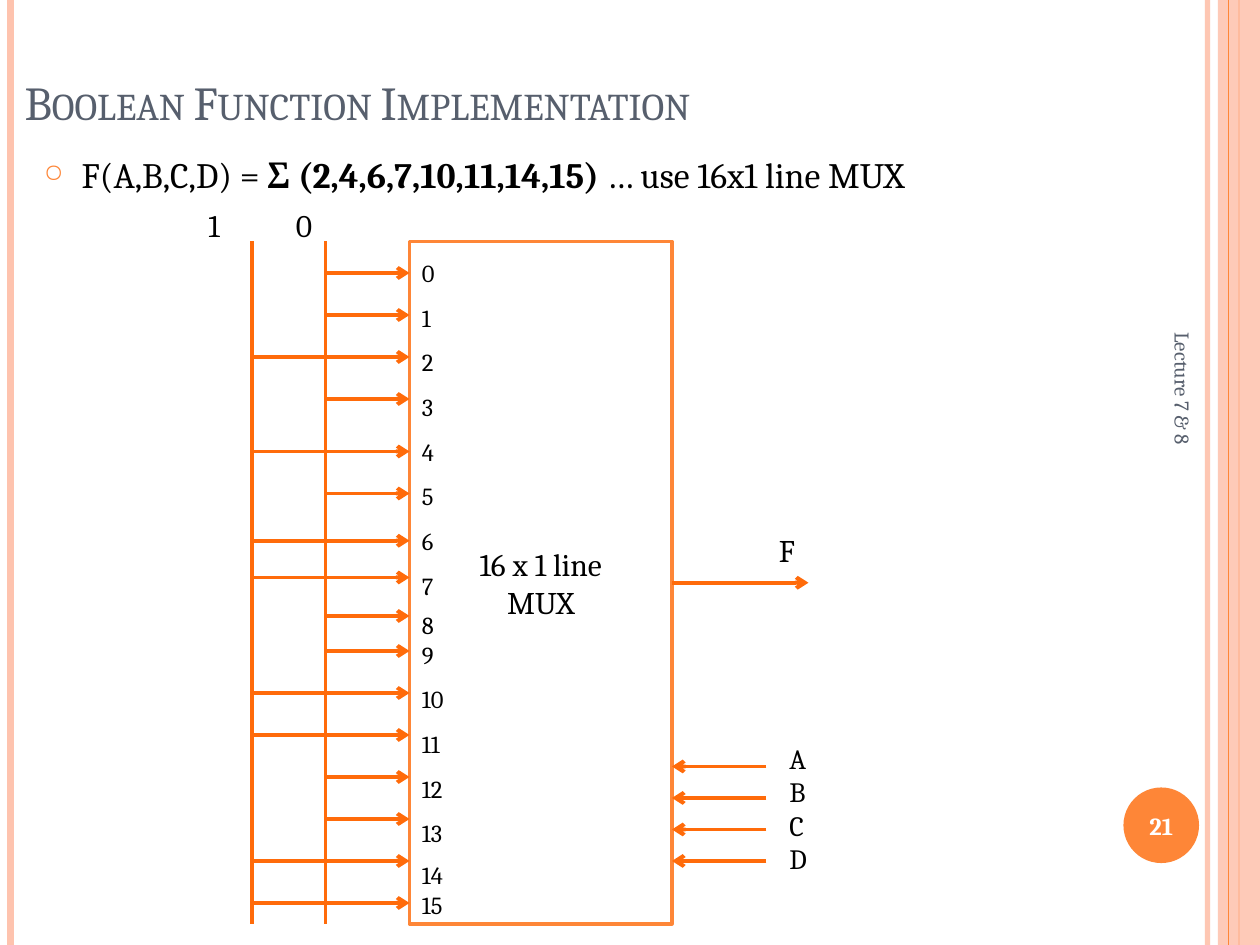
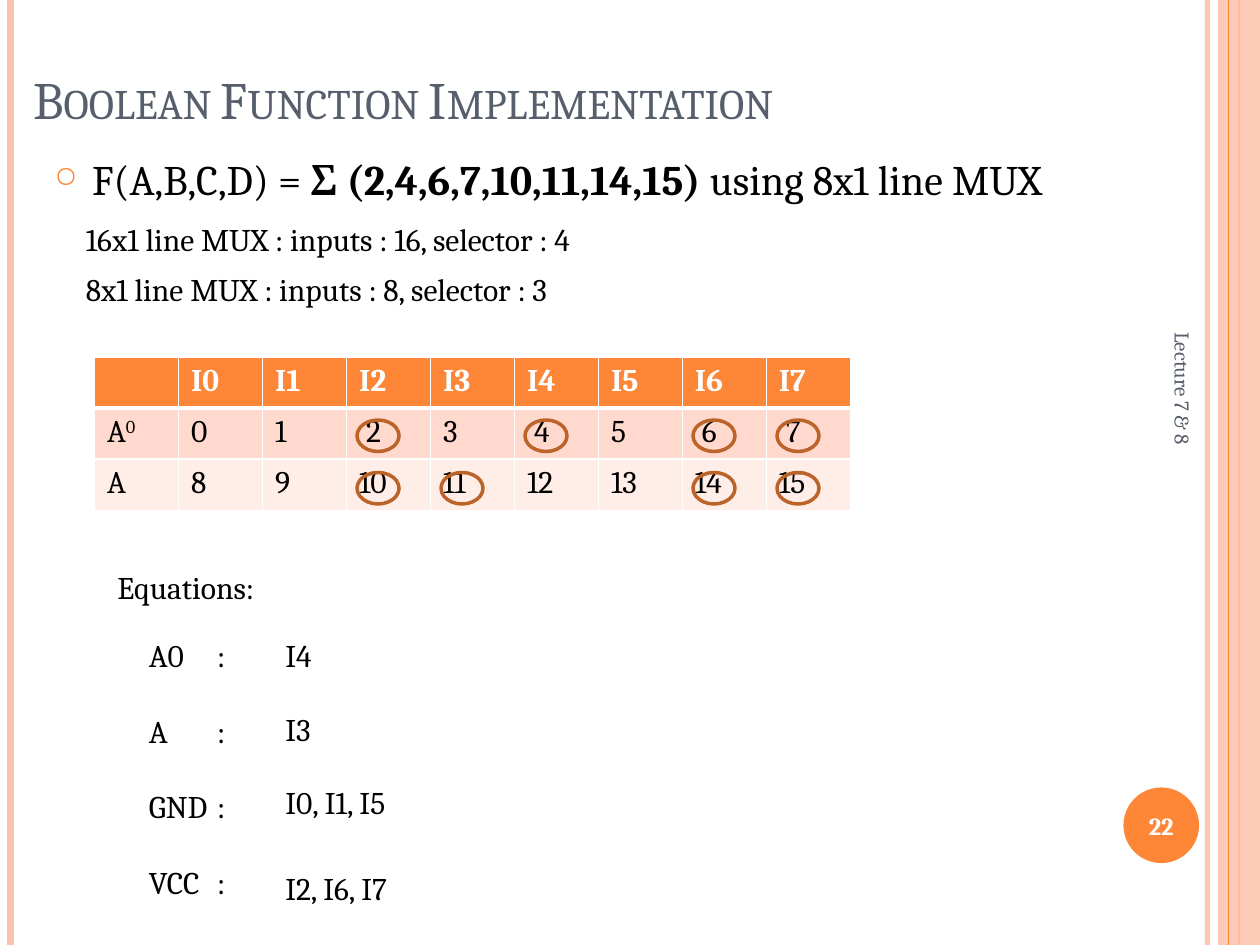
from lxml import etree
from pptx import Presentation
from pptx import util as u
from pptx.dml.color import RGBColor
from pptx.enum import shapes, text
from pptx.oxml.ns import qn

Pt = u.Pt
ORANGE = RGBColor(0xFE, 0x86, 0x37)
PEACH = RGBColor(0xFE, 0xC3, 0xAE)
WIRE = RGBColor(0xFF, 0x6B, 0x0A)
RING = RGBColor(0xBC, 0x63, 0x29)
SLATE = RGBColor(0x57, 0x5F, 0x6D)
BLACK = RGBColor(0, 0, 0)
WHITE = RGBColor(0xFF, 0xFF, 0xFF)
ROWS = [ORANGE, RGBColor(0xFF, 0xD9, 0xCE), RGBColor(0xFF, 0xED, 0xE8)]

FONT = "Cambria"
TERMS = (2, 4, 6, 7, 10, 11, 14, 15)
SUM = f"Σ ({','.join(map(str, TERMS))})"
LEFT, CENTER = text.PP_ALIGN.LEFT, text.PP_ALIGN.CENTER
TOP, MIDDLE, BOTTOM = (text.MSO_ANCHOR.TOP, text.MSO_ANCHOR.MIDDLE,
                       text.MSO_ANCHOR.BOTTOM)


def node(parent, tag, **attrs):
    """Append an XML element with the given attributes."""
    item = etree.SubElement(parent, qn(tag))
    for key, value in attrs.items():
        item.set(key, str(value))
    return item


def write(frame, lines, size=18, color=BLACK, bold=False, align=LEFT,
          anchor=TOP, gaps=(), **marks):
    """Fill a text frame; a line is a string or a list of (text, marks)."""
    frame.word_wrap = True
    frame.vertical_anchor = anchor
    for i, line in enumerate(lines):
        para = frame.paragraphs[0] if i == 0 else frame.add_paragraph()
        para.alignment = align
        if i < len(gaps):
            para.space_before = Pt(gaps[i])
        for words, extra in [(line, {})] if isinstance(line, str) else line:
            run = para.add_run()
            run.text = words
            look = {"bold": bold, **marks, **extra}
            run.font.name, run.font.size = FONT, Pt(size)
            run.font.bold = look.pop("bold")
            run.font.color.rgb = color
            for key, value in look.items():
                run.font._element.set(key, value)


def label(slide, box, *lines, **format):
    """Add a text box and return it."""
    item = slide.shapes.add_textbox(*map(Pt, box))
    write(item.text_frame, lines, **format)
    return item


def shape(slide, kind, box, fill=None, line=None, width=2):
    """Add a flat preset shape."""
    item = slide.shapes.add_shape(kind, *map(Pt, box))
    item.shadow.inherit = False
    if fill is None:
        item.fill.background()
    else:
        item.fill.solid()
        item.fill.fore_color.rgb = fill
    if line is None:
        item.line.fill.background()
    else:
        item.line.color.rgb, item.line.width = line, Pt(width)
    return item


def fade(item, percent):
    """Make the first colour of a shape partly clear."""
    tint = next(item.element.spPr.iter(qn("a:srgbClr")))
    node(tint, "a:alpha", val=percent * 1000)


def wire(slide, start, end, color=WIRE, width=2.25, arrow=False):
    """Draw a straight line, with an arrowhead at its end if asked."""
    item = slide.shapes.add_connector(
        shapes.MSO_CONNECTOR.STRAIGHT, *map(Pt, (*start, *end)))
    item.line.color.rgb, item.line.width = color, Pt(width)
    props = item.element.spPr
    if arrow:
        node(props.find(qn("a:ln")), "a:tailEnd", type="arrow")
    node(props, "a:effectLst")
    return item


def frame(slide, number, x, y, w, h):
    """Draw the side bands, the page number and the footer."""
    def rule(left, color, width):
        return wire(slide, (x + left, y), (x + left, y + h), color, width)

    fade(rule(w - 30, PEACH, 3), 93)
    rule(6, PEACH, 4.5)
    rule(w - 12, ORANGE, 1.5)
    band = shape(slide, shapes.MSO_SHAPE.RECTANGLE,
                 (x + w - 24, y, 24, h), PEACH)
    fade(band, 87)
    rule(w - 18, ORANGE, 0.75)
    disc = shape(slide, shapes.MSO_SHAPE.OVAL,
                 (x + w - 78, y + h - 90, 43.2, 43.2), ORANGE)
    write(disc.text_frame, [str(number)], size=14, color=WHITE, bold=True,
          align=CENTER, anchor=MIDDLE)
    foot = label(slide, (x + w - 170, y + 294.5, 252, 28.8),
                 "Lecture 7 & 8", size=12, color=SLATE, anchor=MIDDLE)
    foot.rotation = 90


def head(slide, tail, x, y, w, h, size):
    """Write the title and the bulleted function below it."""
    label(slide, (x, y, 588, 90), "Boolean Function Implementation",
          size=size, color=SLATE, anchor=BOTTOM, cap="small")


def topic(slide, tail, size, x, y, w, h):
    """Write the bulleted function."""
    line = [("F(A,B,C,D) = ", {}), (SUM, {"bold": True}), (tail, {})]
    item = label(slide, (x, y, w, h), line, size=size, gaps=[6])
    props = item.text_frame.paragraphs[0]._p.get_or_add_pPr()
    props.set("marL", str(Pt(21.6)))
    props.set("indent", str(-Pt(21.6)))
    node(node(props, "a:buClr"), "a:srgbClr", val=ORANGE)
    node(props, "a:buSzPct", val=70000)
    node(props, "a:buChar", char="○")


def title(slide, size, x, y, w, h):
    """Write the title in small capitals at the foot of its box."""
    label(slide, (x, y, w, h), "Boolean Function Implementation",
          size=size, color=SLATE, anchor=BOTTOM, cap="small")


def mux(slide, x, y, w, h):
    """Draw the multiplexer block with its rails, inputs and output."""
    block = shape(slide, shapes.MSO_SHAPE.RECTANGLE, (x, y, w, h),
                  WHITE, ORANGE)
    write(block.text_frame, ["16 x 1 line", "MUX"], align=CENTER,
          anchor=MIDDLE)
    one, zero = x - 90, x - 48
    for name, rail, left in (("1", one, x - 122), ("0", zero, x - 72)):
        wire(slide, (rail, y), (rail, y + h))
        label(slide, (left, y - 24, 36, 30), name)
    drops = (18, 42, 66, 90, 120, 144, 171, 192,
             214, 234, 258, 282, 306, 330, 354, 378)
    for pin, drop in enumerate(drops):
        rail = one if pin in TERMS else zero
        wire(slide, (rail, y + drop), (x, y + drop), arrow=True)
    special = {0: 0, 8: 5.8, 9: 0, 14: 7.2, 15: 0}
    label(slide, (x, y + 6, 38, h + 5), *map(str, range(16)), size=14,
          gaps=[special.get(pin, 8.7) for pin in range(16)])

    right, mid = x + w, y + h / 2
    out = wire(slide, (right, mid), (right + 78, mid), arrow=True)
    out.begin_connect(block, 3)
    label(slide, (right + 54, mid - 33, 30, 30), "F")
    for i in range(4):
        level = y + 300 + 18 * i
        wire(slide, (right + 54, level), (right, level), arrow=True)
    label(slide, (right + 60, y + 282, 36, 85), *"ABCD", size=16)


def grid(slide, x, y, w, h):
    """Build the input table and ring the minterms in it."""
    item = slide.shapes.add_table(3, 9, *map(Pt, (x, y, w, h)))
    table = item.table
    step = w / 9
    for col in table.columns:
        col.width = Pt(step)
    for row in table.rows:
        row.height = Pt(h / 3)
    raised = [("A", {}), ("0", {"baseline": "30000"})]
    words = ["", *(f"I{i}" for i in range(8)),
             raised, *map(str, range(8)), "A", *map(str, range(8, 16))]
    tags = item.element.iter(qn("a:tc"))
    for i, (cell, tag) in enumerate(zip(table.iter_cells(), tags)):
        row, col = divmod(i, 9)
        props = tag.get_or_add_tcPr()
        for side in "LRTB":
            thick = (row, side) in ((0, "B"), (1, "T"))
            edge = node(props, f"a:ln{side}", w=Pt(3 if thick else 1))
            node(node(edge, "a:solidFill"), "a:srgbClr", val=WHITE)
        cell.fill.solid()
        cell.fill.fore_color.rgb = ROWS[row]
        if row == 1 and col - 1 in TERMS:
            cell.margin_left = Pt(11.2)
        if words[i]:
            write(cell.text_frame, [words[i]], bold=row == 0,
                  color=BLACK if row else WHITE)
    for term in TERMS:
        row, col = divmod(term, 8)
        spot = (x + step * (col + 1) + 6, y + 36 + 30 * row, 24, 18)
        shape(slide, shapes.MSO_SHAPE.OVAL, spot, line=RING)


def sums(slide, x, y, w, h):
    """List which inputs go to each signal."""
    label(slide, (x, y, 144, 29), "Equations:")
    names = label(slide, (x + 18, y + 39, 78, h - 39),
                  *(f"{name}\t:" for name in ("A0", "A", "GND", "VCC")),
                  gaps=[0, 21.6, 21.6, 21.6])
    for para in names.text_frame.paragraphs:
        tabs = node(para._p.get_or_add_pPr(), "a:tabLst")
        node(tabs, "a:tab", pos=Pt(39), algn="l")
    values = (("I4", 39), ("I3", 81), ("I0, I1, I5", 123), ("I2, I6, I7", 172))
    for value, drop in values:
        label(slide, (x + 96, y + drop, w - 96, 29), value)


def main():
    """Build both slides and save them."""
    deck = Presentation()
    deck.slide_width, deck.slide_height = Pt(720), Pt(540)
    first, second = (deck.slides.add_slide(deck.slide_layouts[6])
                     for _ in range(2))
    for number, slide in enumerate((first, second), 21):
        frame(slide, number, 0, 0, 720, 540)

    title(first, 27, 7, -12, 588, 90)
    topic(first, " … use 16x1 line MUX", 20.4, 18, 84, 588, 48)
    mux(first, 234, 138, 150, 390)

    title(second, 30, 12, -12, 588, 90)
    topic(second, " using 8x1 line MUX", 24, 24, 84, 678, 42)
    label(second, (42, 122, 354, 29),
          "16x1 line MUX : inputs : 16, selector : 4")
    label(second, (42, 151, 354, 29),
          "8x1 line MUX : inputs : 8, selector : 3")
    grid(second, 54, 204, 432, 87.6)
    sums(second, 60, 321, 210, 199)
    deck.save("out.pptx")


if __name__ == "__main__":
    main()
